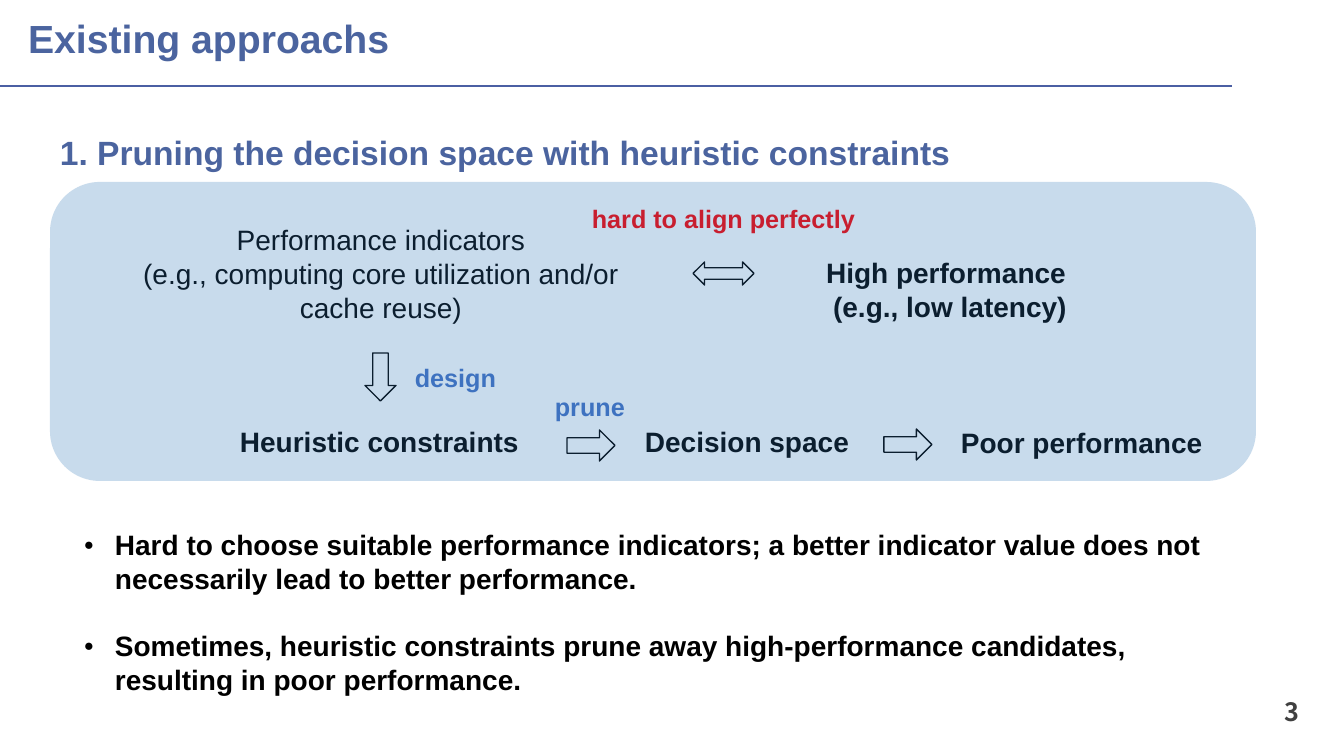
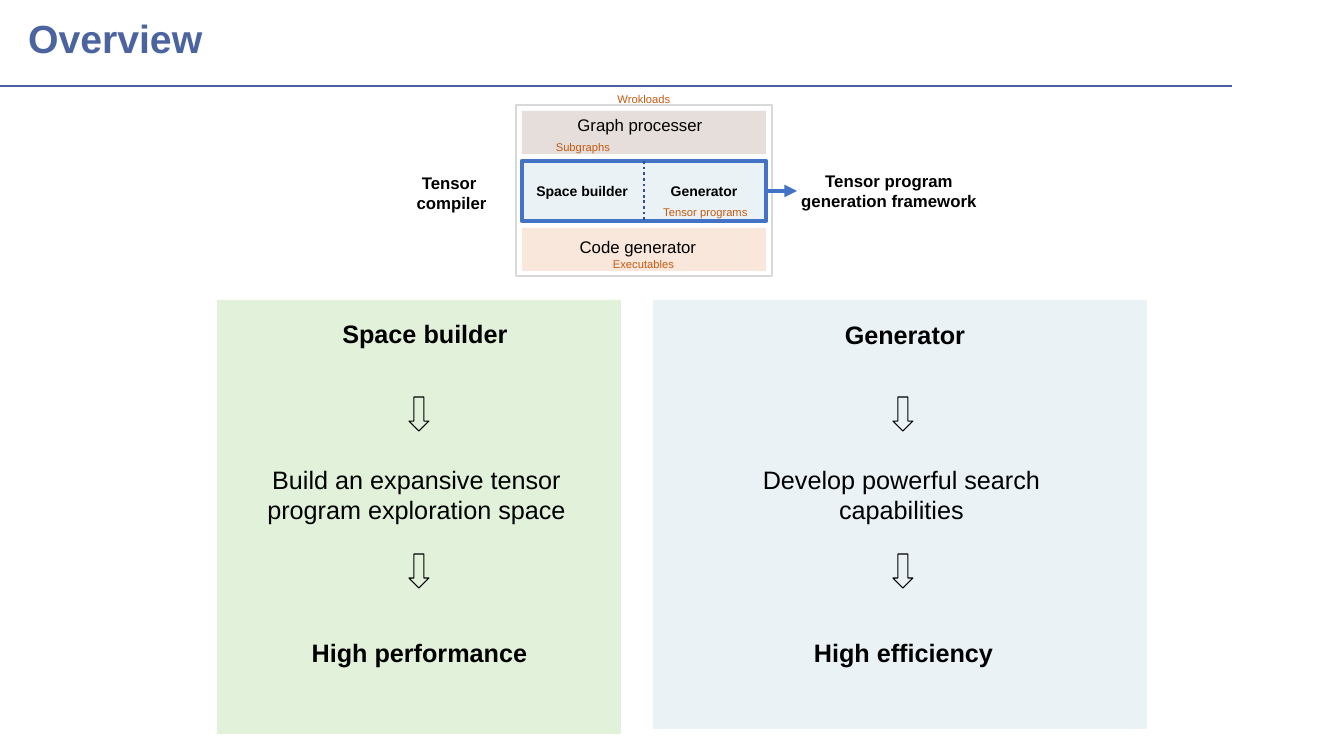
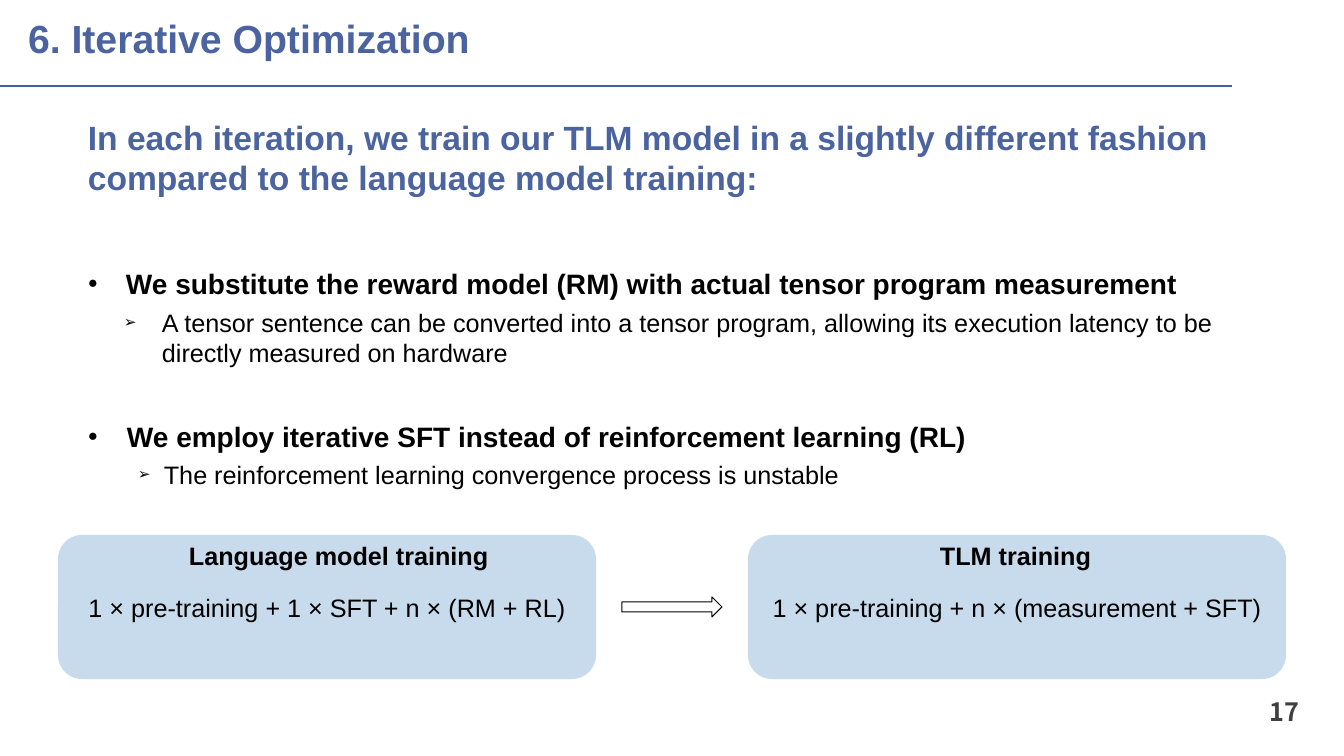
"""Build three slides on tensor program generation and TLM training."""
import lxml.etree
import pptx
import pptx.dml.color
import pptx.enum.dml
import pptx.enum.shapes
import pptx.enum.text
import pptx.oxml.ns
import pptx.util

PX = 12192000 / 1344
FONT = "Arial"
BLACK, WHITE, HEADING, RULE = "000000", "FFFFFF", "4B649F", "4B5FA3"
BLUE, RED, ORANGE, TINT = "4472C4", "FF0000", "C55A11", "2E75B6"
PALE_BLUE, PALE_GREEN = "EAF2F6", "E2F1D9"
SHAPE = pptx.enum.shapes.MSO_SHAPE
LEFT = pptx.enum.text.PP_ALIGN.LEFT
CENTER = pptx.enum.text.PP_ALIGN.CENTER
RIGHT = pptx.enum.text.PP_ALIGN.RIGHT
MIDDLE = pptx.enum.text.MSO_ANCHOR.MIDDLE
TOP = pptx.enum.text.MSO_ANCHOR.TOP
qn = pptx.oxml.ns.qn
colour = pptx.dml.color.RGBColor.from_string


def write(box, text, size, bold=False, ink=BLACK, align=LEFT, anchor=TOP, font=FONT):
    """Fill a box with paragraphs in one style."""
    frame = box.text_frame
    frame.text = text
    frame.word_wrap = True
    frame.auto_size = pptx.enum.text.MSO_AUTO_SIZE.NONE
    frame.vertical_anchor = anchor
    for para in frame.paragraphs:
        para.alignment = align
        para.font.name = font
        para.font.size = pptx.util.Pt(size)
        para.font.bold = bold
        para.font.color.rgb = colour(ink)


def add_box(page, kind, area, fill=None, line=None, weight=1, alpha=None):
    """Add a flat preset shape, or a text box when kind is None."""
    edges = [round(edge * PX) for edge in area]
    if kind is None:
        return page.shapes.add_textbox(*edges)
    box = page.shapes.add_shape(kind, *edges)
    box.shadow.inherit = False
    if fill:
        box.fill.solid()
        box.fill.fore_color.rgb = colour(fill)
    else:
        box.fill.background()
    if line:
        box.line.color.rgb = colour(line)
        box.line.width = pptx.util.Pt(weight)
    else:
        box.line.fill.background()
    if alpha:
        tone = box.fill._xPr.find(qn("a:solidFill"))[0]
        lxml.etree.SubElement(tone, qn("a:alpha"), val=str(alpha * 1000))
    return box


deck = pptx.Presentation()
deck.slide_width = round(1344 * PX)
deck.slide_height = round(756 * PX)

pages = []
for title, number in (("Existing approachs", "3"), ("Overview", None),
                      ("6. Iterative Optimization", "17")):
    page = deck.slides.add_slide(deck.slide_layouts[5])
    heading = page.shapes.title
    heading.left, heading.top = round(18 * PX), 0
    heading.width, heading.height = round(1326 * PX), round(82 * PX)
    write(heading, title, 28, True, HEADING, anchor=MIDDLE)
    heading.text_frame.paragraphs[0].line_spacing = 0.9
    if number:
        write(add_box(page, None, (1232, 691, 77, 40)), number, 18, True, "404040",
              RIGHT, MIDDLE, "Noto Sans CJK SC")
    pages.append(page)
approaches, overview, optimization = pages

subtitle = add_box(approaches, None, (50, 114, 1280, 82))
write(subtitle, "1. Pruning the decision space with heuristic constraints", 24, True,
      HEADING, anchor=MIDDLE)
subtitle.text_frame.paragraphs[0].line_spacing = 0.9

for area, text, size, bold, ink, align in (
    ((133, 218, 496, 112), "Performance indicators\n(e.g., computing core utilization "
     "and/or cache reuse)", 20, False, BLACK, CENTER),
    ((815, 251, 270, 78), "High performance \n(e.g., low latency)", 20, True, BLACK, CENTER),
    ((230, 420, 310, 44), "Heuristic constraints", 20, True, BLACK, LEFT),
    ((635, 420, 240, 44), "Decision space", 20, True, BLACK, LEFT),
    ((951, 421, 280, 44), "Poor performance", 20, True, BLACK, LEFT),
    ((405, 357, 120, 40), "design", 18, True, BLUE, LEFT),
    ((545, 386, 110, 40), "prune", 18, True, BLUE, LEFT),
    ((582, 198, 300, 40), "hard to align perfectly", 18, True, RED, LEFT),
):
    write(add_box(approaches, None, area), text, size, bold, ink, align)

for kind, area in (
    (SHAPE.DOWN_ARROW, (365, 353, 31, 48)),
    (SHAPE.LEFT_RIGHT_ARROW, (693, 262, 61, 23)),
    (SHAPE.RIGHT_ARROW, (567, 430, 48, 31)),
    (SHAPE.RIGHT_ARROW, (884, 429, 48, 31)),
):
    add_box(approaches, kind, area, WHITE, BLACK)
add_box(approaches, SHAPE.ROUNDED_RECTANGLE, (50, 182, 1206, 299), TINT, alpha=26)

for area, fill, line, weight in (
    ((516, 105, 256, 171), None, "D9D9D9", 1.5),
    ((522, 111, 244, 43), "E6DEDB", None, 1),
    ((522, 228, 244, 43), "F9E7DB", None, 1),
    ((522, 161, 244, 60), PALE_BLUE, BLUE, 3),
    ((217, 300, 404, 434), PALE_GREEN, None, 1),
    ((653, 300, 494, 429), PALE_BLUE, None, 1),
):
    add_box(overview, SHAPE.RECTANGLE, area, fill, line, weight)

for area, text, size, bold, ink in (
    ((371, 168, 161, 50), "Tensor \ncompiler", 12, True, BLACK),
    ((775, 166, 228, 50), "Tensor program generation framework", 12, True, BLACK),
    ((560, 110, 160, 30), "Graph processer", 12, False, BLACK),
    ((558, 232, 160, 30), "Code generator", 12, False, BLACK),
    ((518, 178, 128, 27), "Space builder", 10, True, BLACK),
    ((640, 178, 128, 27), "Generator", 10, True, BLACK),
    ((580, 87, 128, 24), "Wrokloads", 8, False, ORANGE),
    ((519, 135, 128, 24), "Subgraphs", 8, False, ORANGE),
    ((637, 200, 137, 24), "Tensor programs", 8, False, ORANGE),
    ((575, 252, 137, 24), "Executables", 8, False, ORANGE),
    ((324, 313, 202, 40), "Space builder", 18, True, BLACK),
    ((804, 314, 202, 40), "Generator", 18, True, BLACK),
    ((237, 459, 359, 72), "Build an expansive tensor program exploration space",
     18, False, BLACK),
    ((722, 459, 359, 72), "Develop powerful search capabilities", 18, False, BLACK),
    ((240, 632, 359, 40), "High performance", 18, True, BLACK),
    ((724, 632, 359, 40), "High efficiency", 18, True, BLACK),
):
    write(add_box(overview, None, area), text, size, bold, ink, CENTER)

for left in (409, 893):
    for top in (397, 554):
        add_box(overview, SHAPE.DOWN_ARROW, (left, top, 20, 34), None, BLACK, 0.75)

for left, label_left, label, formula in (
    (58, 179, "Language model training", "1 × pre-training + 1 × SFT + n × (RM + RL)"),
    (748, 930, "TLM training", "1 × pre-training + n × (measurement + SFT)"),
):
    panel = add_box(optimization, SHAPE.ROUNDED_RECTANGLE, (left, 535, 538, 144), TINT, alpha=26)
    write(panel, formula, 18, align=CENTER, anchor=MIDDLE)
    write(add_box(optimization, None, (label_left, 535, 400, 40)), label, 18, True)
add_box(optimization, SHAPE.RIGHT_ARROW, (622, 597, 100, 20), None, BLACK, 0.75)

for page, area, items in (
    (approaches, (74, 523, 1159, 180), (
        ("Hard to choose suitable performance indicators; a better indicator value does not "
         "necessarily lead to better performance.", 20, True, BLACK, 0, "●", 31, 31),
        ("Sometimes, heuristic constraints prune away high-performance candidates, "
         "resulting in poor performance.", 20, True, BLACK, 24, "●", 31, 31),
    )),
    (optimization, (78, 112, 1182, 393), (
        ("In each iteration, we train our TLM model in a slightly different fashion compared "
         "to the language model training:", 24, True, HEADING, 0, None, 0, 0),
        ("We substitute the reward model (RM) with actual tensor program measurement",
         20, True, BLACK, 49, "●", 38, 38),
        ("A tensor sentence can be converted into a tensor program, allowing its execution "
         "latency to be directly measured on hardware", 18, False, BLACK, 5, "➢", 74, 38),
        ("We employ iterative SFT instead of reinforcement learning (RL)",
         20, True, BLACK, 37, "●", 39, 39),
        ("The reinforcement learning convergence process is unstable",
         18, False, BLACK, 5, "➢", 76, 26),
    )),
):
    box = add_box(page, None, area)
    write(box, "\n".join(item[0] for item in items), 20)
    for para, item in zip(box.text_frame.paragraphs, items):
        text, size, bold, ink, gap, bullet, indent, hang = item
        para.font.size = pptx.util.Pt(size)
        para.font.bold = bold
        para.font.color.rgb = colour(ink)
        para.space_before = pptx.util.Pt(gap)
        if bullet:
            layout = para._p.get_or_add_pPr()
            layout.set("marL", str(round(indent * PX)))
            layout.set("indent", str(round(-hang * PX)))
            marks = (("a:buSzPct", "val", "60000"), ("a:buFont", "typeface", FONT),
                     ("a:buChar", "char", bullet))
            for offset, (tag, key, value) in enumerate(marks):
                mark = lxml.etree.Element(qn(tag), {key: value})
                layout.insert(len(layout) - 1, mark)

header_rules = [(page, (0, 86, 1232, 86), RULE, 2) for page in pages]
links = [(overview, (766, 191, 797, 191), BLUE, 3), (overview, (644, 161, 644, 221), "2F518E", 2)]
lines = []
for page, ends, ink, weight in header_rules + links:
    line = page.shapes.add_connector(pptx.enum.shapes.MSO_CONNECTOR.STRAIGHT,
                                     *[round(end * PX) for end in ends])
    line.line.color.rgb = colour(ink)
    line.line.width = pptx.util.Pt(weight)
    lxml.etree.SubElement(line._element.spPr, qn("a:effectLst"))
    lines.append(line)
arrow, divider = lines[-2:]
lxml.etree.SubElement(arrow.line._get_or_add_ln(), qn("a:tailEnd"), type="triangle")
divider.line.dash_style = pptx.enum.dml.MSO_LINE.ROUND_DOT

deck.save("out.pptx")
